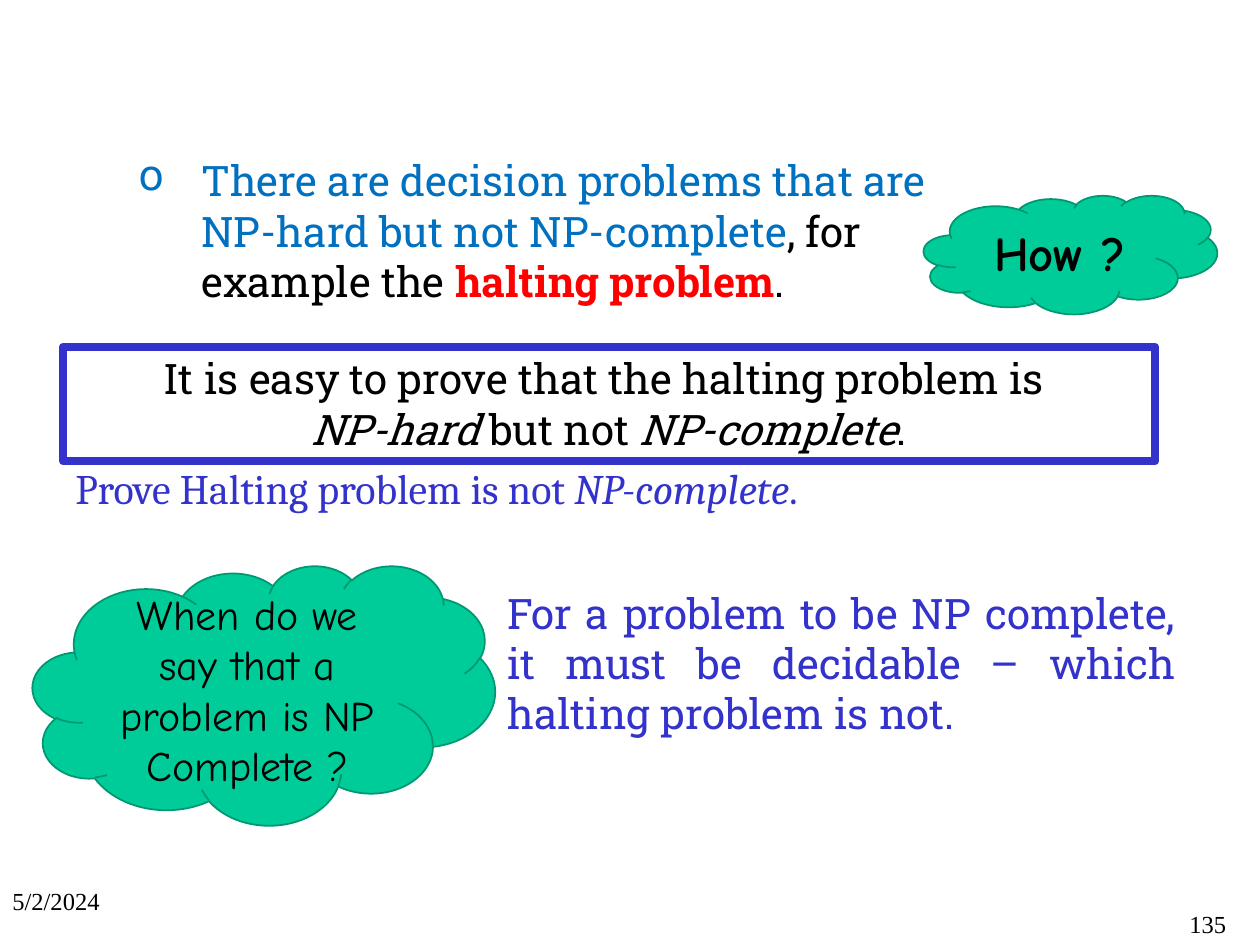
import pptx
import pptx.dml.color
import pptx.enum.shapes
import pptx.enum.text
import pptx.util
from lxml import etree

Cm = pptx.util.Cm
Pt = pptx.util.Pt
RGBColor = pptx.dml.color.RGBColor
Align = pptx.enum.text.PP_ALIGN
Anchor = pptx.enum.text.MSO_ANCHOR
AutoSize = pptx.enum.text.MSO_AUTO_SIZE
Preset = pptx.enum.shapes.MSO_SHAPE

BLACK = RGBColor(0x00, 0x00, 0x00)
WHITE = RGBColor(0xFF, 0xFF, 0xFF)
BLUE = RGBColor(0x00, 0x70, 0xC0)
RED = RGBColor(0xFF, 0x00, 0x00)
INDIGO = RGBColor(0x33, 0x33, 0xCC)
GREEN = RGBColor(0x00, 0xCC, 0x99)
DARK_GREEN = RGBColor(0x00, 0x97, 0x71)

SLAB = "Roboto Slab"
COMIC = "Comic Neue"
CAMBRIA = "Cambria"
TIMES = "Times New Roman"


def format_paragraph(para, font, size, color=None, align=Align.LEFT):
    para.alignment = align
    para.font.name = font
    para.font.size = Pt(size)
    if color is not None:
        para.font.color.rgb = color


def add_span(para, text, color=None, bold=None, italic=None):
    span = para.add_run()
    span.text = text
    span.font.bold = bold
    span.font.italic = italic
    if color is not None:
        span.font.color.rgb = color


def add_text_box(page, area, grows=True):
    box = page.shapes.add_textbox(*map(Cm, area))
    frame = box.text_frame
    frame.word_wrap = True
    frame.auto_size = AutoSize.SHAPE_TO_FIT_TEXT if grows else AutoSize.NONE
    return frame.paragraphs[0]


def add_filled_shape(page, preset, area, fill, line, width, anchor):
    shape = page.shapes.add_shape(preset, *map(Cm, area))
    shape.shadow.inherit = False
    shape.fill.solid()
    shape.fill.fore_color.rgb = fill
    shape.line.color.rgb = line
    shape.line.width = Pt(width)
    shape.text_frame.word_wrap = True
    shape.text_frame.vertical_anchor = anchor
    return shape.text_frame.paragraphs[0]


def add_bullet(para, mark, indent):
    properties = para._p.get_or_add_pPr()
    properties.set("marL", str(indent))
    properties.set("indent", str(-indent))
    bullet = etree.SubElement(properties, pptx.oxml.ns.qn("a:buChar"))
    bullet.set("char", mark)


def add_statement(page, area):
    para = add_text_box(page, area)
    add_bullet(para, "o", Cm(1.27))
    format_paragraph(para, SLAB, 24)
    para.space_after = Pt(18)
    add_span(para, "There are decision problems that are NP-hard but not NP-complete", BLUE)
    add_span(para, ", for example the ", BLACK)
    add_span(para, "halting problem", RED, bold=True)
    add_span(para, ".", BLACK)


def add_claim(page, area):
    para = add_filled_shape(page, Preset.RECTANGLE, area, WHITE, INDIGO, 4.5, Anchor.TOP)
    format_paragraph(para, SLAB, 24, BLACK, Align.CENTER)
    add_span(para, "It is easy to prove that the halting problem is ")
    para.add_line_break()
    add_span(para, "NP-hard", italic=True)
    add_span(para, " but not ")
    add_span(para, "NP-complete", italic=True)
    add_span(para, ".")


def add_cloud(page, area, text, size, bold=False):
    para = add_filled_shape(page, Preset.CLOUD, area, GREEN, DARK_GREEN, 1, Anchor.MIDDLE)
    format_paragraph(para, COMIC, size, BLACK, Align.CENTER)
    para.font.bold = bold
    add_span(para, text)


def add_task(page, area):
    para = add_text_box(page, area)
    format_paragraph(para, CAMBRIA, 24, INDIGO)
    add_span(para, "Prove Halting problem is not ")
    add_span(para, "NP-complete", italic=True)
    add_span(para, ".")


def add_answer(page, area):
    para = add_text_box(page, area)
    format_paragraph(para, SLAB, 24, INDIGO, Align.JUSTIFY)
    add_span(para, "For a problem to be NP complete, it must be decidable – "
                   "which halting problem is not.")


def add_footer(page, area, text, align):
    para = add_text_box(page, area, grows=False)
    format_paragraph(para, TIMES, 14, BLACK, align)
    add_span(para, text)


def main():
    deck = pptx.Presentation()
    deck.slide_width = Cm(25.4)
    deck.slide_height = Cm(19.05)
    page = deck.slides.add_slide(deck.slide_layouts[6])

    add_statement(page, (2.54, 3, 17.32, 3.33))
    add_claim(page, (1.27, 6.99, 22.02, 2.31))
    add_cloud(page, (18.62, 3.94, 5.92, 2.39), "How ?", 27.8, bold=True)
    add_task(page, (1.27, 9.2, 22.23, 1.3))
    add_cloud(page, (0.66, 11.4, 9.32, 5.23),
              "When do we say that a problem is NP Complete ?", 24)
    add_answer(page, (9.98, 11.71, 13.97, 3.33))
    add_footer(page, (0, 17.73, 5.92, 1.32), "5/2/2024", Align.LEFT)
    add_footer(page, (19.69, 18.21, 5.28, 0.84), "135", Align.RIGHT)

    deck.save("out.pptx")


if __name__ == "__main__":
    main()
